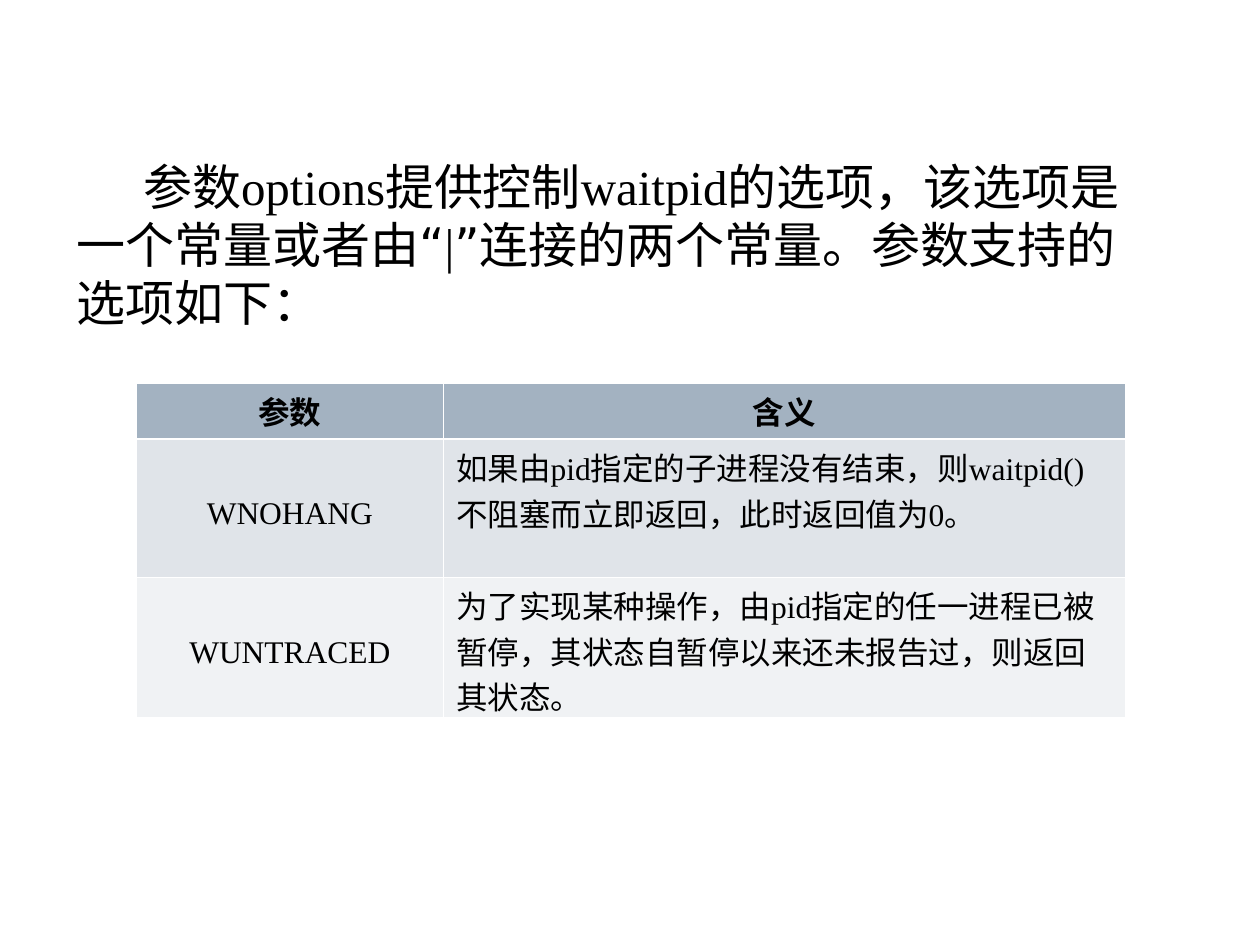
from lxml import etree
from pptx import Presentation
from pptx.dml.color import RGBColor
from pptx.enum import text
from pptx.oxml import ns
from pptx.util import Pt

COLORS = {"ink": "000000", "border": "FFFFFF", "header": "A3B2C1",
          "odd": "E0E4E9", "even": "F0F2F4"}
LATIN, EAST_ASIAN = "Times New Roman", "DejaVu Sans"

INTRO = "参数options提供控制waitpid的选项，该选项是一个常量或者由“|”连接的两个常量。参数支持的选项如下："
ROWS = [
    ("参数", "含义"),
    ("WNOHANG", "如果由pid指定的子进程没有结束，则waitpid()不阻塞而立即返回，此时返回值为0。"),
    ("WUNTRACED", "为了实现某种操作，由pid指定的任一进程已被暂停，其状态自暂停以来还未报告过，则返回其状态。"),
]


def set_all(target, values):
    """Set every attribute in a dict of format values."""
    for name, value in values.items():
        setattr(target, name, value)


def write(paragraph, words, size, spacing, latin=LATIN, bold=False,
          align=text.PP_ALIGN.LEFT):
    """Write one formatted run into a paragraph."""
    set_all(paragraph, {"alignment": align, "line_spacing": Pt(spacing)})
    run = paragraph.add_run()
    run.text = words
    set_all(run.font, {"name": latin, "size": Pt(size), "bold": bold})
    run.font.color.rgb = RGBColor.from_string(COLORS["ink"])
    east_asian = etree.SubElement(run.font._element, ns.qn("a:ea"))
    east_asian.set("typeface", EAST_ASIAN)


def add_intro(slide, left, top, width, height):
    """Place the opening paragraph with a first-line indent."""
    frame = slide.shapes.add_textbox(Pt(left), Pt(top), Pt(width), Pt(height)).text_frame
    set_all(frame, {"word_wrap": True, "margin_left": Pt(7.2), "margin_right": Pt(7.2),
                    "margin_top": Pt(6.6), "margin_bottom": Pt(0.6)})
    paragraph = frame.paragraphs[0]
    write(paragraph, INTRO, 28, 33.4)
    properties = paragraph._p.get_or_add_pPr()
    properties.set("marL", "0")
    properties.set("indent", str(Pt(38)))


def add_borders(cell, widths):
    """Draw the cell borders from a dict of side to width."""
    properties = cell._tc.get_or_add_tcPr()
    for index, (side, width) in enumerate(widths.items()):
        line = etree.Element(ns.qn(f"a:ln{side}"), w=str(Pt(width)))
        fill = etree.SubElement(line, ns.qn("a:solidFill"))
        etree.SubElement(fill, ns.qn("a:srgbClr"), val=COLORS["border"])
        properties.insert(index, line)


def add_options(slide, left, top, widths, heights):
    """Place the table of option names and meanings."""
    table = slide.shapes.add_table(
        len(heights), len(widths), Pt(left), Pt(top),
        Pt(sum(widths)), Pt(sum(heights))).table
    for column, width in zip(table.columns, widths):
        column.width = Pt(width)
    for row, height in zip(table.rows, heights):
        row.height = Pt(height)
    fills = ("header", "odd", "even")
    for r, values in enumerate(ROWS):
        for c, words in enumerate(values):
            cell = table.cell(r, c)
            header, name = r == 0, c == 0
            middle = name and not header
            set_all(cell, {
                "margin_top": Pt(3.6 if middle else 2),
                "margin_bottom": Pt(3.6 if middle else 0),
                "vertical_anchor": text.MSO_ANCHOR.MIDDLE if middle else text.MSO_ANCHOR.TOP})
            centred = header or name
            write(cell.text_frame.paragraphs[0], words, 18, 26,
                  EAST_ASIAN if header else LATIN, header,
                  text.PP_ALIGN.CENTER if centred else text.PP_ALIGN.LEFT)
            cell.fill.solid()
            cell.fill.fore_color.rgb = RGBColor.from_string(COLORS[fills[r]])
            add_borders(cell, {"L": 0.45, "R": 0.45, "T": 1.47 if r == 1 else 0.45,
                               "B": 1.47 if header else 0.45})


def build():
    """Build the slide and save it."""
    presentation = Presentation()
    set_all(presentation, {"slide_width": Pt(720), "slide_height": Pt(540)})
    slide = presentation.slides.add_slide(presentation.slide_layouts[6])
    add_intro(slide, 36.7, 82.8, 617.8, 108)
    add_options(slide, 77.8, 219, (175.7, 389.5), (32, 79, 80))
    presentation.save("out.pptx")


build()
